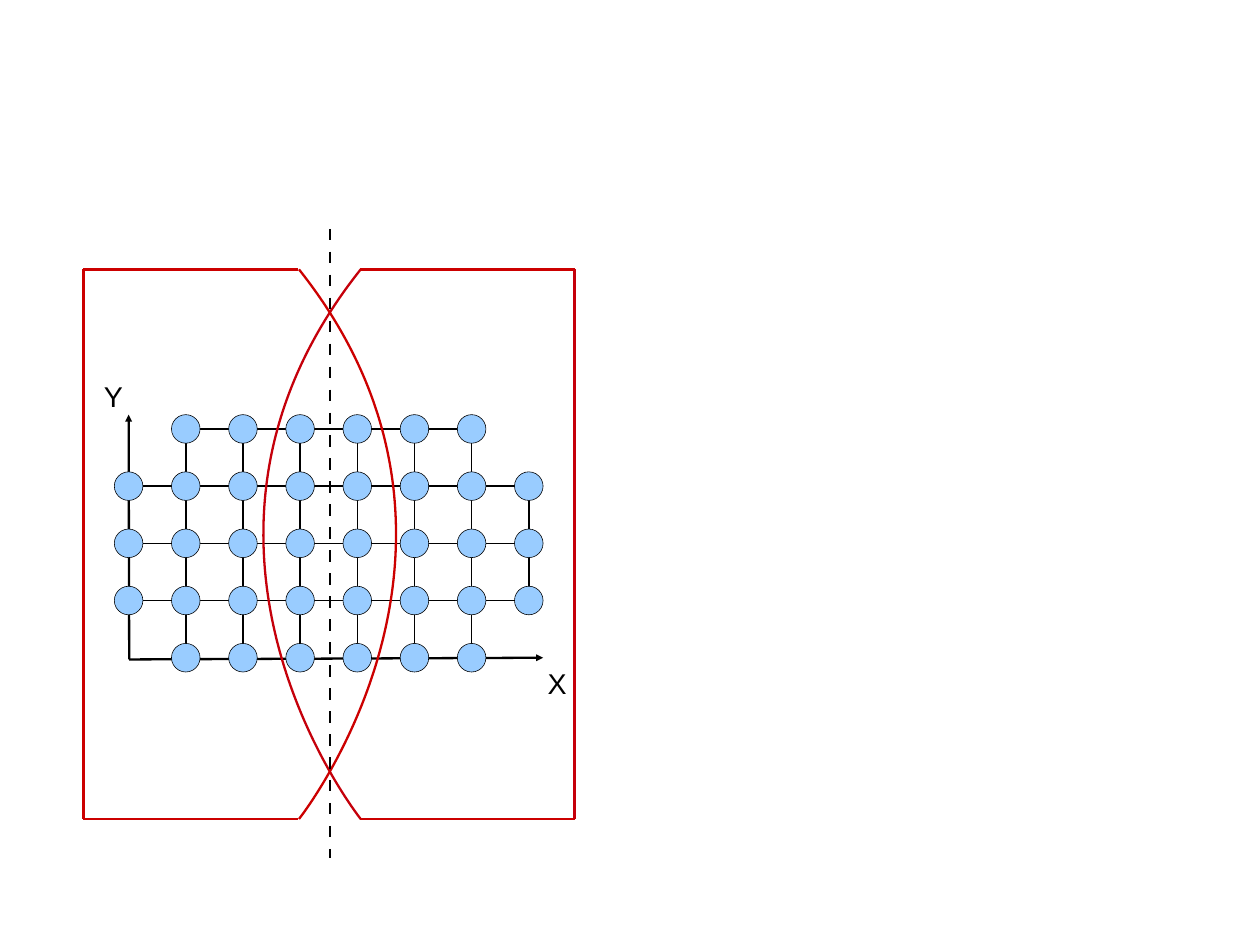
import lxml.etree
import pptx
import pptx.dml.color
import pptx.enum.shapes
import pptx.enum.text
import pptx.oxml
import pptx.oxml.ns
import pptx.util

Inches, Pt = pptx.util.Inches, pptx.util.Pt
qn = pptx.oxml.ns.qn

COLORS = {"ink": "000000", "node": "99CCFF", "left": "C5000B", "right": "CC0000"}
HAIRLINE, THICK = 0, 2.89
NODE_SIZE = 0.5

# Columns and rows of the node grid, one inch apart
COLUMNS = [2.25 + step for step in range(8)]
ROWS = [7.5 + step for step in range(5)]

AXIS_ORIGIN = (2.26, 11.53)
AXIS_TIPS = [(2.25, 7.25), (9.5, 11.5)]
AXIS_LABELS = [("Y", 1.72, 6.58), ("X", 9.48, 11.59)]

DIVIDER = ((5.77, 4), (5.77, 15))

# Region frames: top, bottom, and (outer edge, inner edge, side colour)
FRAME_TOP, FRAME_BOTTOM = 4.71, 14.32
FRAMES = [(1.46, 5.21, "right"), (10.05, 6.3, "left")]
# Curved edges: end x, furthest x, control x, colour
CURVES = [(6.31, 4.61, 2.48, "left"), (5.23, 6.93, 9.05, "right")]

deck = pptx.Presentation()
deck.slide_width, deck.slide_height = Inches(22.04), Inches(16.54)
slide = deck.slides.add_slide(deck.slide_layouts[6])
shapes = slide.shapes


def rgb(name):
    return pptx.dml.color.RGBColor.from_string(COLORS[name])


def style_line(shape, color, width):
    shape.line.color.rgb = rgb(color)
    shape.line.width = Pt(width)


def add_line(start, end, color="ink", width=HAIRLINE):
    line = shapes.add_connector(
        pptx.enum.shapes.MSO_CONNECTOR.STRAIGHT,
        *(Inches(value) for value in (*start, *end)))
    style_line(line, color, width)
    lxml.etree.SubElement(line._element.spPr, qn("a:effectLst"))
    return line


def add_axis(tip):
    axis = add_line(AXIS_ORIGIN, tip, width=THICK)
    lxml.etree.SubElement(axis.line._get_or_add_ln(), qn("a:tailEnd"), type="triangle")


def add_node(x, y):
    node = shapes.add_shape(
        pptx.enum.shapes.MSO_SHAPE.OVAL, Inches(x - NODE_SIZE / 2),
        Inches(y - NODE_SIZE / 2), Inches(NODE_SIZE), Inches(NODE_SIZE))
    node.shadow.inherit = False
    node.fill.solid()
    node.fill.fore_color.rgb = rgb("node")
    style_line(node, "ink", HAIRLINE)


def add_label(text, left, top):
    box = shapes.add_textbox(Inches(left), Inches(top), Inches(0.53), Inches(0.66))
    frame = box.text_frame
    frame.text = text
    frame.word_wrap = False
    frame.auto_size = pptx.enum.text.MSO_AUTO_SIZE.SHAPE_TO_FIT_TEXT
    font = frame.paragraphs[0].runs[0].font
    font.name, font.size, font.color.rgb = "Arial", Pt(36), rgb("ink")


def add_curve(end_x, furthest_x, control_x, color):
    """Outline the curve's extent, then swap its segments for one Bezier curve."""
    middle = (FRAME_TOP + FRAME_BOTTOM) / 2
    builder = shapes.build_freeform(Inches(end_x), Inches(FRAME_TOP))
    builder.add_line_segments(
        [(Inches(furthest_x), Inches(middle)), (Inches(end_x), Inches(FRAME_BOTTOM))],
        close=False)
    curve = builder.convert_to_shape()
    curve.shadow.inherit = False
    curve.fill.background()
    style_line(curve, color, THICK)

    outline = curve._element.find(".//" + qn("a:path"))
    for segment in outline.findall(qn("a:lnTo")):
        outline.remove(segment)
    bezier = lxml.etree.SubElement(outline, qn("a:cubicBezTo"))
    end = (end_x, FRAME_BOTTOM)
    for x, y in [(control_x, middle), end, end]:
        lxml.etree.SubElement(bezier, qn("a:pt"), x=str(Inches(x) - curve.left),
                              y=str(Inches(y) - curve.top))


def add_divider():
    divider = add_line(*DIVIDER, width=THICK)
    dashes = lxml.etree.SubElement(divider.line._get_or_add_ln(), qn("a:custDash"))
    lxml.etree.SubElement(dashes, qn("a:ds"), d="500000", sp="500000")


for tip in AXIS_TIPS:
    add_axis(tip)

# The outer columns lack their first and last node
for x in COLUMNS[1:-1]:
    add_line((x, ROWS[0]), (x, ROWS[-1]))
add_line((COLUMNS[-1], ROWS[1]), (COLUMNS[-1], ROWS[-2]))
add_line((COLUMNS[1], ROWS[0]), (COLUMNS[-2], ROWS[0]))
for y in ROWS[1:-1]:
    add_line((COLUMNS[0], y), (COLUMNS[-1], y))

for x in COLUMNS:
    outer = x in (COLUMNS[0], COLUMNS[-1])
    for y in ROWS[1:-1] if outer else ROWS:
        add_node(x, y)

for label in AXIS_LABELS:
    add_label(*label)
for curve_data in CURVES:
    add_curve(*curve_data)
add_divider()
for outer_x, inner_x, side_color in FRAMES:
    for y in (FRAME_TOP, FRAME_BOTTOM):
        add_line((inner_x, y), (outer_x, y), "right", THICK)
    add_line((outer_x, FRAME_TOP), (outer_x, FRAME_BOTTOM), side_color, THICK)

deck.save("out.pptx")
